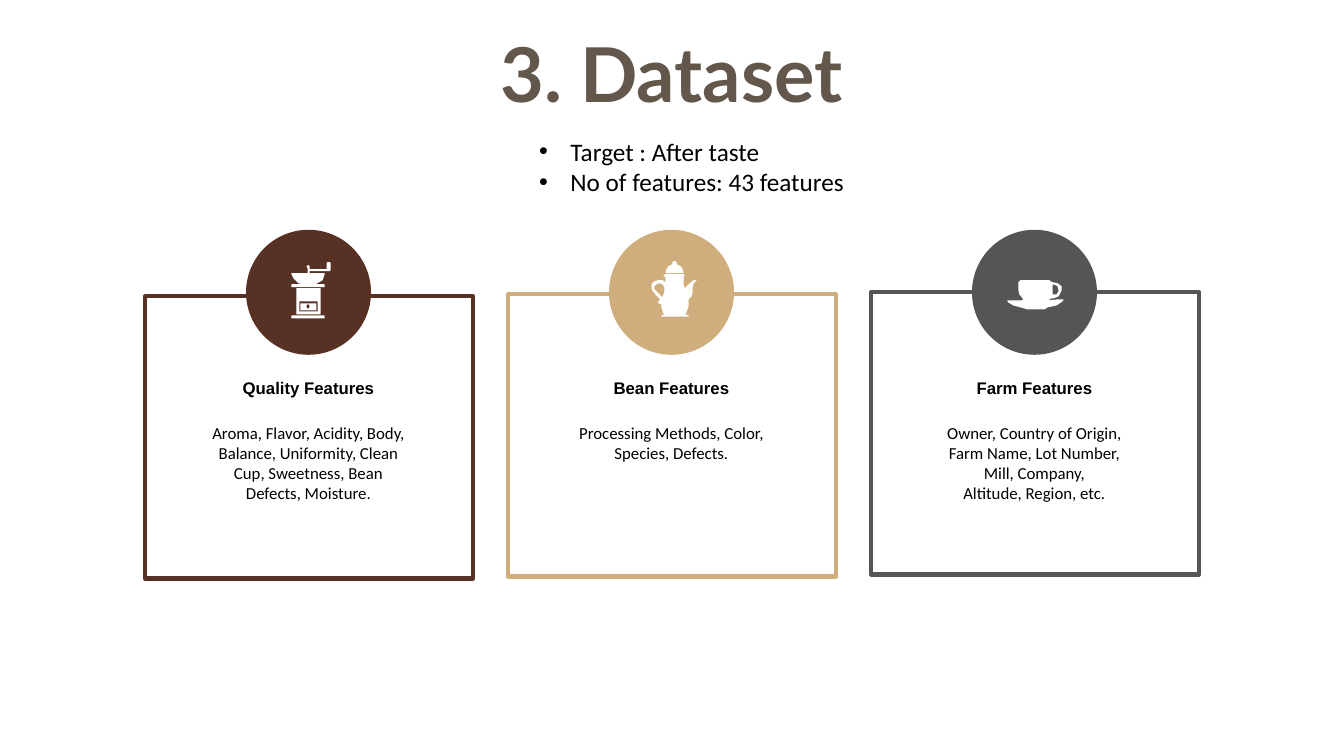
from dataclasses import dataclass

from pptx import Presentation
from pptx import util as u
from pptx.dml.color import RGBColor
from pptx.enum import shapes, text
from pptx.oxml.ns import qn
from lxml import etree

PX = 9144


@dataclass(frozen=True)
class Theme:
    title: str = "63564B"
    ink: str = "000000"
    white: str = "FFFFFF"
    brown: str = "583125"
    tan: str = "CFAD7C"
    gray: str = "545653"
    title_font: str = "Lato"
    body_font: str = "Calibri"
    head_font: str = "Arial"
    title_size: int = 54
    bullet_size: int = 18
    card_size: int = 12
    border: int = 3


class Deck:
    def __init__(self, theme, width, height):
        self.theme = theme
        self.prs = Presentation()
        self.prs.slide_width = u.Emu(width * PX)
        self.prs.slide_height = u.Emu(height * PX)
        self.s = self.prs.slides.add_slide(self.prs.slide_layouts[6])

    def box(self, x, y, w, h):
        return [u.Emu(v * PX) for v in (x, y, w, h)]

    def paint(self, sp, fill=None, line=None):
        sp.shadow.inherit = False
        if fill:
            sp.fill.solid()
            sp.fill.fore_color.rgb = RGBColor.from_string(fill)
        else:
            sp.fill.background()
        if line:
            sp.line.color.rgb = RGBColor.from_string(line)
            sp.line.width = u.Pt(self.theme.border)
            etree.SubElement(sp.line._get_or_add_ln(), qn("a:round"))
        else:
            sp.line.fill.background()

    def shape(self, kind, x, y, w, h, fill=None, line=None):
        sp = self.s.shapes.add_shape(kind, *self.box(x, y, w, h))
        self.paint(sp, fill, line)

    def outline(self, fill, *contours):
        first, *holes = contours
        builder = self.s.shapes.build_freeform(*first[0], scale=PX)
        builder.add_line_segments(first[1:], close=True)
        for hole in holes:
            builder.move_to(*hole[0])
            builder.add_line_segments(hole[1:], close=True)
        self.paint(builder.convert_to_shape(), fill)

    def text(self, x, y, w, h, lines, size, font, color, bold=False,
             align=text.PP_ALIGN.CENTER, anchor=text.MSO_ANCHOR.TOP, bullet=False):
        tf = self.s.shapes.add_textbox(*self.box(x, y, w, h)).text_frame
        tf.word_wrap = True
        tf.vertical_anchor = anchor
        for i, line in enumerate(lines):
            p = tf.add_paragraph() if i else tf.paragraphs[0]
            p.alignment = align
            if bullet:
                self.bullet(p)
            r = p.add_run()
            r.text = line
            r.font.size = u.Pt(size)
            r.font.name = font
            r.font.bold = bold
            r.font.color.rgb = RGBColor.from_string(color)

    def bullet(self, p):
        pPr = p._p.get_or_add_pPr()
        pPr.set("marL", str(31 * PX))
        pPr.set("indent", str(-31 * PX))
        etree.SubElement(pPr, qn("a:buFont")).set("typeface", "Arial")
        etree.SubElement(pPr, qn("a:buChar")).set("char", "•")

    def card(self, x, y, color, heading, lines):
        t = self.theme
        self.shape(shapes.MSO_SHAPE.RECTANGLE, x, y, 325, 280, line=color)
        self.shape(shapes.MSO_SHAPE.OVAL, x + 100, 228, 124, 124, fill=color)
        self.text(x + 52, 370, 220, 30, [heading], t.card_size, t.head_font, t.ink, bold=True)
        self.text(x + 52, 414, 220, 91, lines, t.card_size, t.body_font, t.ink)

    def grinder(self):
        white, brown = self.theme.white, self.theme.brown
        rect = shapes.MSO_SHAPE.RECTANGLE
        self.outline(white, [
            (328, 268), (327, 269), (307, 269), (307, 271), (322, 271), (322, 272),
            (320, 278), (313, 282), (308, 284), (305, 284), (296, 281), (291, 276),
            (289, 272), (289, 271), (305, 271), (305, 266), (304, 264), (306, 263),
            (307, 264), (307, 267), (324, 267), (324, 261), (325, 260), (327, 260),
            (328, 261)])
        for y in (282, 313):
            self.shape(shapes.MSO_SHAPE.ROUNDED_RECTANGLE, 289, y, 33, 3, white)
        self.shape(rect, 294, 286, 24, 26, white)
        self.shape(rect, 297, 299, 18, 10, brown)
        self.shape(rect, 298, 301, 16, 7, white)
        self.shape(shapes.MSO_SHAPE.OVAL, 304, 302, 3, 4, brown)

    def pot(self):
        white = self.theme.white
        self.outline(white, [
            (671, 262), (671, 260), (670, 259), (668, 259), (667, 260), (667, 262),
            (663, 264), (661, 267), (660, 271), (678, 271), (677, 267), (675, 264)])
        self.outline(white, [
            (691, 278), (688, 278), (683, 282), (679, 286), (678, 282), (678, 275),
            (679, 273), (678, 272), (660, 272), (658, 273), (660, 275), (660, 280),
            (657, 278), (653, 278), (649, 279), (647, 281), (646, 284), (647, 288),
            (650, 292), (653, 295), (655, 297), (653, 299), (653, 301), (656, 302),
            (656, 305), (658, 311), (659, 312), (656, 313), (656, 314), (683, 314),
            (683, 313), (680, 312), (683, 304), (683, 297), (686, 294), (687, 290),
            (687, 285), (688, 281)],
            [(657, 295), (654, 292), (649, 287), (649, 284), (651, 282), (654, 281),
             (657, 282), (659, 285), (659, 289)])

    def cup(self):
        self.outline(self.theme.white, [
            (1043, 296), (1045, 296), (1050, 294), (1053, 288), (1053, 284),
            (1049, 281), (1044, 280), (1042, 279), (1041, 278), (1012, 278),
            (1010, 280), (1010, 287), (1011, 292), (1015, 297), (1013, 298),
            (999, 298), (1000, 300), (1005, 303), (1016, 306), (1019, 307),
            (1036, 307), (1039, 305), (1048, 303), (1054, 299), (1055, 297),
            (1049, 297), (1039, 298)],
            [(1044, 290), (1044, 283), (1045, 282), (1049, 284), (1050, 289),
             (1048, 292), (1044, 292)])


def main():
    t = Theme()
    deck = Deck(t, 1333, 750)
    deck.text(401, 13, 530, 118, ["3. Dataset"], t.title_size, t.title_font, t.title,
              bold=True, anchor=text.MSO_ANCHOR.MIDDLE)
    deck.text(525, 130, 480, 71, ["Target : After taste", "No of features: 43 features"],
              t.bullet_size, t.body_font, t.ink, align=text.PP_ALIGN.LEFT, bullet=True)
    cards = [
        (t.brown, "Quality Features",
         ["Aroma, Flavor, Acidity, Body, Balance, Uniformity, Clean Cup, "
          "Sweetness, Bean Defects, Moisture."]),
        (t.tan, "Bean Features", ["Processing Methods, Color, Species, Defects."]),
        (t.gray, "Farm Features",
         ["Owner, Country of Origin, Farm Name, Lot Number, Mill, Company,",
          "Altitude, Region, etc."]),
    ]
    for i, (color, heading, lines) in enumerate(cards):
        deck.card(144 + 360 * i, 294 - 2 * i, color, heading, lines)
    deck.grinder()
    deck.pot()
    deck.cup()
    deck.prs.save("out.pptx")


if __name__ == "__main__":
    main()
